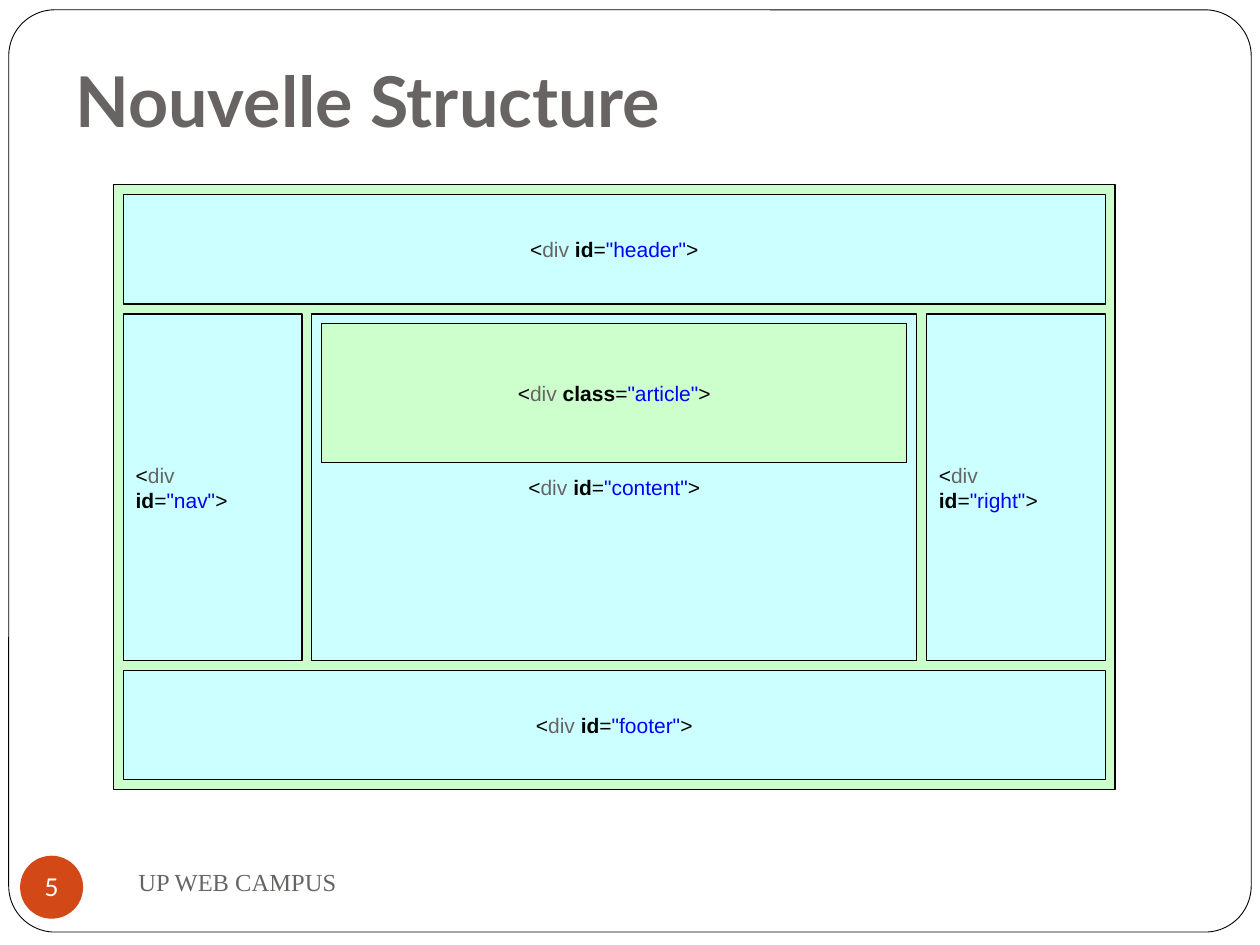
from pptx import Presentation
from pptx.dml.color import RGBColor
from pptx.enum.shapes import MSO_SHAPE
from pptx.enum.text import MSO_ANCHOR, MSO_AUTO_SIZE, PP_ALIGN
from pptx.util import Pt

RECTANGLE = MSO_SHAPE.RECTANGLE
ROUNDED = MSO_SHAPE.ROUNDED_RECTANGLE
OVAL = MSO_SHAPE.OVAL
MIDDLE = MSO_ANCHOR.MIDDLE
BOTTOM = MSO_ANCHOR.BOTTOM
LEFT = PP_ALIGN.LEFT
CENTER = PP_ALIGN.CENTER

BLACK = RGBColor(0x00, 0x00, 0x00)
WHITE = RGBColor(0xFF, 0xFF, 0xFF)
GRAY = RGBColor(0x69, 0x64, 0x64)
BLUE = RGBColor(0x00, 0x00, 0xFF)
GREEN = RGBColor(0xCC, 0xFF, 0xCC)
CYAN = RGBColor(0xCC, 0xFF, 0xFF)
ORANGE = RGBColor(0xD3, 0x48, 0x17)

GAP = 5.6
BAND_HEIGHT = 62.6
SIDE_WIDTH = 102.2
ARTICLE_HEIGHT = 79.2


def add_run(paragraph, text, color, size, font, bold=False):
    run = paragraph.add_run()
    run.text = text
    run.font.name = font
    run.font.size = Pt(size)
    run.font.bold = bold
    run.font.color.rgb = color


def add_box(slide, kind, box, fill, line_width=None):
    shape = slide.shapes.add_shape(kind, *map(Pt, box))
    shape.shadow.inherit = False
    shape.fill.solid()
    shape.fill.fore_color.rgb = fill
    if line_width is None:
        shape.line.fill.background()
    else:
        shape.line.color.rgb = BLACK
        shape.line.width = Pt(line_width)
    return shape


def add_div(slide, box, fill, attribute, value, two_lines=False):
    shape = add_box(slide, RECTANGLE, box, fill, 0.75)
    frame = shape.text_frame
    frame.word_wrap = False
    frame.vertical_anchor = MIDDLE
    alignment = LEFT if two_lines else CENTER
    paragraph = frame.paragraphs[0]
    paragraph.alignment = alignment
    add_run(paragraph, "<", BLACK, 12, "Arial")
    add_run(paragraph, "div" if two_lines else "div ", GRAY, 12, "Arial")
    if two_lines:
        paragraph = frame.add_paragraph()
        paragraph.alignment = alignment
    add_run(paragraph, attribute, BLACK, 12, "Arial", bold=True)
    add_run(paragraph, "=", BLACK, 12, "Arial")
    add_run(paragraph, f'"{value}"', BLUE, 12, "Arial")
    add_run(paragraph, ">", BLACK, 12, "Arial")


def add_page_layout(slide, box):
    left, top, width, height = box
    inner_left = left + GAP
    inner_width = width - 2 * GAP
    header_top = top + GAP
    middle_top = header_top + BAND_HEIGHT + GAP
    footer_top = top + height - GAP - BAND_HEIGHT
    middle_height = footer_top - GAP - middle_top
    content_left = inner_left + SIDE_WIDTH + GAP
    right_left = inner_left + inner_width - SIDE_WIDTH
    content_width = right_left - GAP - content_left

    add_box(slide, RECTANGLE, box, GREEN, 0.75)
    for name, band_top in (("header", header_top), ("footer", footer_top)):
        add_div(slide, (inner_left, band_top, inner_width, BAND_HEIGHT), CYAN, "id", name)
    add_div(slide, (content_left, middle_top, content_width, middle_height),
            CYAN, "id", "content")
    for name, side_left in (("nav", inner_left), ("right", right_left)):
        add_div(slide, (side_left, middle_top, SIDE_WIDTH, middle_height),
                CYAN, "id", name, two_lines=True)
    add_div(slide, (content_left + GAP, middle_top + GAP,
                    content_width - 2 * GAP, ARTICLE_HEIGHT),
            GREEN, "class", "article")


def add_border(slide, box):
    border = add_box(slide, ROUNDED, box, WHITE, 0.5)
    border.adjustments[0] = 0.05


def add_title(slide, box):
    title = slide.shapes.title
    title.left, title.top, title.width, title.height = map(Pt, box)
    frame = title.text_frame
    frame.auto_size = MSO_AUTO_SIZE.NONE
    frame.vertical_anchor = BOTTOM
    frame.margin_bottom = Pt(7.2)
    paragraph = frame.paragraphs[0]
    paragraph.alignment = LEFT
    add_run(paragraph, "Nouvelle Structure", GRAY, 40, "Lato", bold=True)


def add_footer_text(slide, box):
    frame = slide.shapes.add_textbox(*map(Pt, box)).text_frame
    frame.word_wrap = True
    frame.vertical_anchor = MIDDLE
    add_run(frame.paragraphs[0], "UP WEB CAMPUS", GRAY, 14, "Times New Roman")


def add_page_number(slide, box):
    frame = add_box(slide, OVAL, box, ORANGE).text_frame
    frame.word_wrap = False
    frame.vertical_anchor = MIDDLE
    frame.margin_left = frame.margin_right = Pt(0)
    frame.margin_top = frame.margin_bottom = Pt(0)
    paragraph = frame.paragraphs[0]
    paragraph.alignment = CENTER
    add_run(paragraph, "5", WHITE, 14, "Lato")


def main():
    presentation = Presentation()
    presentation.slide_width = Pt(720)
    presentation.slide_height = Pt(540)
    slide = presentation.slides.add_slide(presentation.slide_layouts.get_by_name("Title Only"))
    add_border(slide, (5, 5.6, 710, 527))
    title_element = slide.shapes.title.element
    title_element.getparent().append(title_element)
    add_title(slide, (36, -2, 648, 90))
    add_page_layout(slide, (64.8, 105.6, 572.4, 345.6))
    add_footer_text(slide, (72, 486, 312, 36))
    add_page_number(slide, (11.5, 489, 36, 36))
    presentation.save("out.pptx")


if __name__ == "__main__":
    main()
